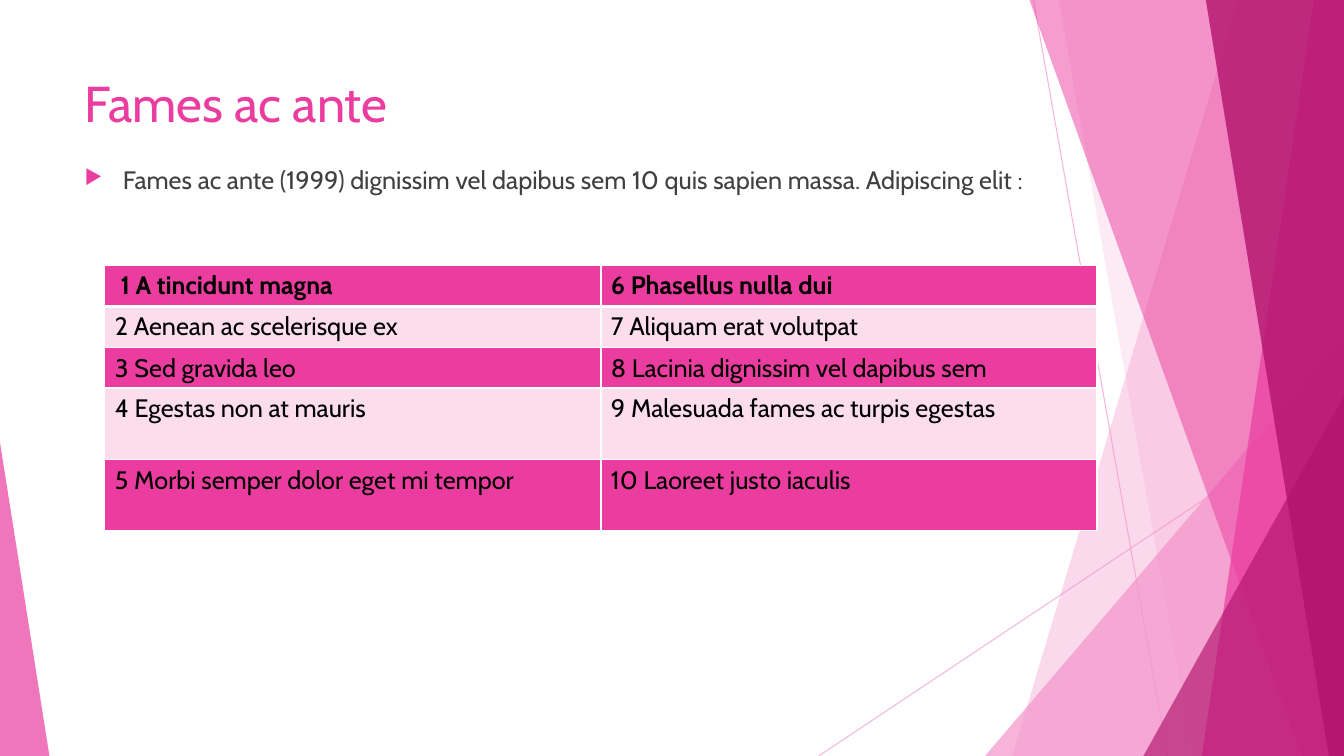
from lxml.etree import SubElement as Sub
from pptx import Presentation
from pptx.dml.color import RGBColor
from pptx.enum.shapes import MSO_CONNECTOR as Link, MSO_SHAPE as Shape
from pptx.enum.text import MSO_ANCHOR as Anchor, PP_ALIGN as Align
from pptx.oxml import parse_xml
from pptx.oxml.ns import nsdecls, qn
from pptx.util import Inches, Pt

WIDE, HIGH = 13.33, 7.5
PINK, ROSE, WINE, PALE = "EB3D9F", "F496CB", "B2136D", "FBDDEC"
WHITE, GREY, BLACK = "FFFFFF", "404040", "000000"

LINES = [(10.25, 0, 11.58, HIGH), (WIDE, 4.03, 8.12, HIGH)]
# Each band reaches the right edge: top left x, bottom left x, colour, opacity
BACK = [(12.28, 10.04, ROSE, 36), (10.5, 11.83, ROSE, 20)]
FRONT = [(10.21, 12.91, PINK, 50), (13.03, 11.92, PINK, 70),
         (11.96, 13.18, WINE, 80)]

ROWS = [
    (" 1 A tincidunt magna", "6 Phasellus nulla dui", 0.41),
    ("2 Aenean ac scelerisque ex", "7 Aliquam erat volutpat", 0.41),
    ("3 Sed gravida leo", "8 Lacinia dignissim vel dapibus sem", 0.4),
    ("4 Egestas non at mauris", "9 Malesuada fames ac turpis egestas", 0.71),
    ("5 Morbi semper dolor eget mi tempor", "10 Laoreet justo iaculis", 0.7),
]


def rgb(code):
    return RGBColor.from_string(code)


def fade(fill, code, alpha):
    """Make a fill solid, with an opacity in percent."""
    fill.solid()
    fill.fore_color.rgb = rgb(code)
    color = fill._xPr.find(qn("a:solidFill"))[0]
    Sub(color, qn("a:alpha"), val=str(alpha * 1000))


def paint(shape, code, alpha):
    fade(shape.fill, code, alpha)
    shape.line.fill.background()
    shape.shadow.inherit = False


def add_line(slide, *ends):
    line = slide.shapes.add_connector(Link.STRAIGHT, *map(Inches, ends))
    line.line.width = Pt(0.75)
    fade(line.line.fill, ROSE, 70)
    Sub(line._element.spPr, qn("a:effectLst"))


def add_band(slide, top, foot, code, alpha):
    points = [(Inches(x), Inches(y)) for x, y in
              ((top, 0), (WIDE, 0), (WIDE, HIGH), (foot, HIGH))]
    form = slide.shapes.build_freeform(*points[0])
    form.add_line_segments(points[1:])
    paint(form.convert_to_shape(), code, alpha)


def add_peak(slide, box, tip, code, alpha):
    """Add a triangle whose tip is at a share of its width."""
    peak = slide.shapes.add_shape(Shape.ISOSCELES_TRIANGLE, *map(Inches, box))
    peak.adjustments[0] = tip
    paint(peak, code, alpha)


def write(frame, text, size, code, bold=False):
    para = frame.paragraphs[0]
    para.alignment = Align.LEFT
    run = para.add_run()
    run.text = text
    style = {"name": "Cabin", "size": Pt(size), "bold": bold}
    for key, value in style.items():
        setattr(run.font, key, value)
    run.font.color.rgb = rgb(code)


def add_title(slide, text):
    title = slide.shapes.title
    box = {"left": 0.74, "top": 0.67, "width": 9.4, "height": 1.44}
    for key, value in box.items():
        setattr(title, key, Inches(value))
    title.text_frame.vertical_anchor = Anchor.TOP
    write(title.text_frame, text, 36, PINK)


def add_bullet(slide, text, *box):
    frame = slide.shapes.add_textbox(*map(Inches, box)).text_frame
    frame.word_wrap = True
    props = frame.paragraphs[0]._p.get_or_add_pPr()
    props.set("marL", str(Inches(0.38)))
    props.set("indent", str(-Inches(0.38)))
    color = Sub(props, qn("a:buClr"))
    Sub(color, qn("a:srgbClr"), val=PINK)
    Sub(props, qn("a:buSzPct"), val="80000")
    Sub(props, qn("a:buChar"), char="▶")
    write(frame, text, 18, GREY)


def add_border(cell, row):
    widths = {"L": 1, "R": 1, "T": 3 if row == 1 else 1,
              "B": 3 if row == 0 else 1}
    props = cell._tc.get_or_add_tcPr()
    for spot, (side, width) in enumerate(widths.items()):
        props.insert(spot, parse_xml(
            f'<a:ln{side} {nsdecls("a")} w="{Pt(width)}"><a:solidFill>'
            f'<a:srgbClr val="{WHITE}"/></a:solidFill></a:ln{side}>'))


def add_grid(slide, left, top, width):
    high = sum(row[-1] for row in ROWS)
    box = map(Inches, (left, top, width, high))
    table = slide.shapes.add_table(len(ROWS), 2, *box).table
    table.horz_banding = False
    for r, (*texts, height) in enumerate(ROWS):
        table.rows[r].height = Inches(height)
        for c, text in enumerate(texts):
            cell = table.cell(r, c)
            cell.fill.solid()
            cell.fill.fore_color.rgb = rgb(PALE if r % 2 else PINK)
            add_border(cell, r)
            write(cell.text_frame, text, 18, BLACK, r == 0)


def main():
    deck = Presentation()
    deck.slide_width, deck.slide_height = Inches(WIDE), Inches(HIGH)
    slide = deck.slides.add_slide(deck.slide_layouts[5])
    for ends in LINES:
        add_line(slide, *ends)
    for band in BACK:
        add_band(slide, *band)
    add_peak(slide, (9.77, 3.33, 3.56, 4.17), 1, ROSE, 72)
    for band in FRONT:
        add_band(slide, *band)
    add_peak(slide, (11.34, 3.93, 1.99, 3.57), 1, WINE, 66)
    add_peak(slide, (0, 4.39, 0.49, 3.11), 0, PINK, 70)
    add_title(slide, "Fames ac ante")
    add_bullet(slide, "Fames ac ante (1999) dignissim vel dapibus sem 10 quis "
               "sapien massa. Adipiscing elit :", 0.74, 1.58, 11.2, 5.03)
    add_grid(slide, 1.04, 2.63, 9.84)
    deck.save("out.pptx")


if __name__ == "__main__":
    main()
